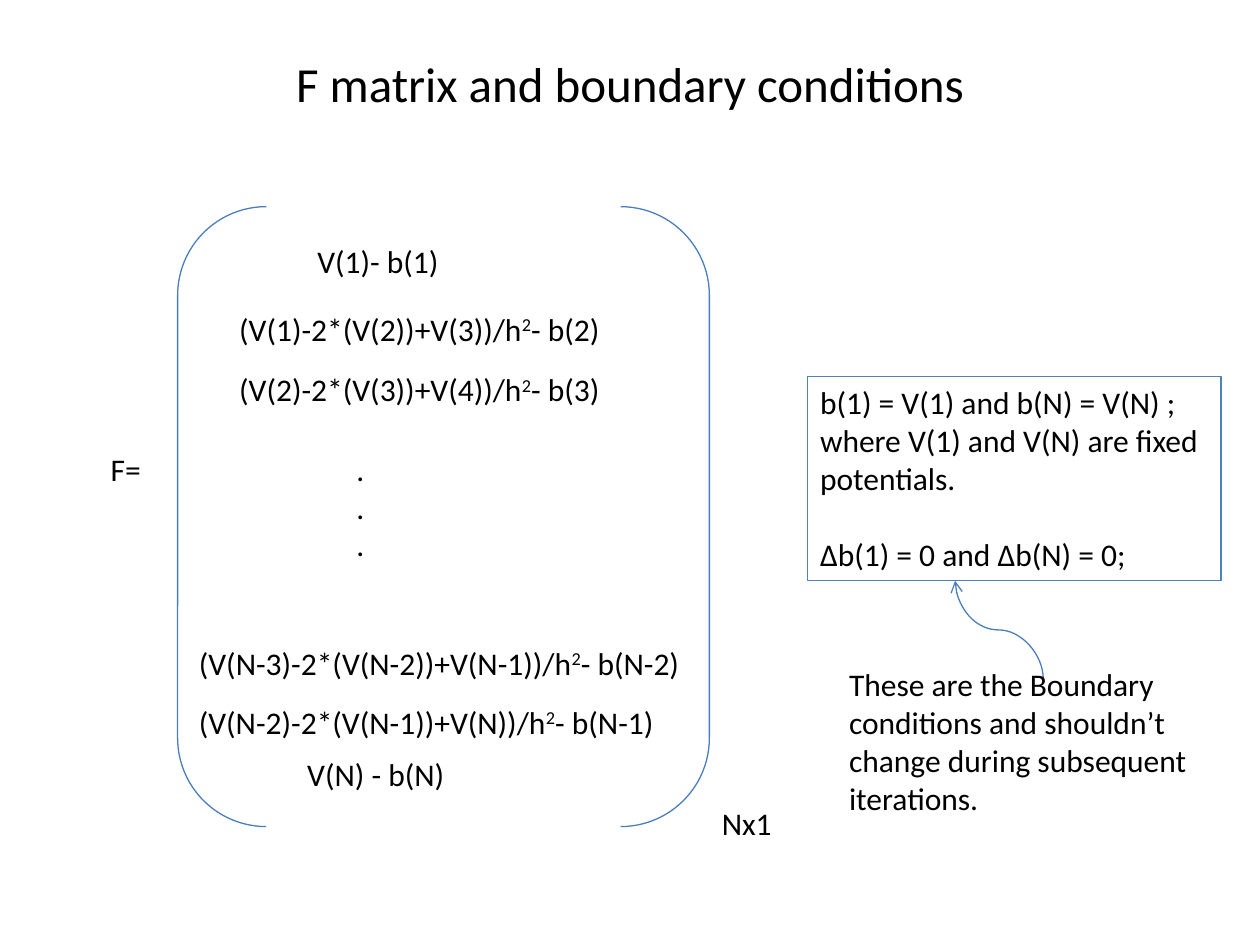
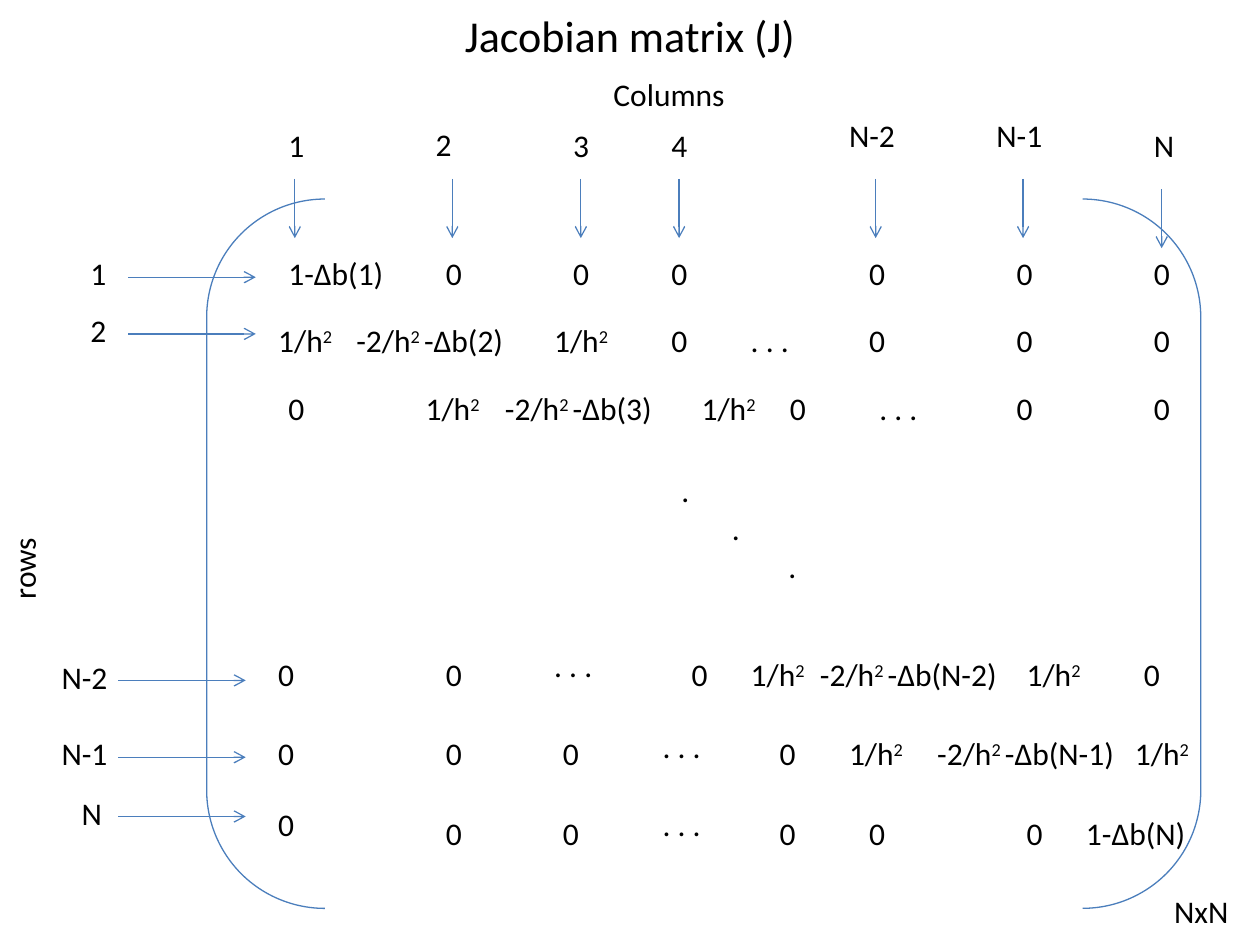
from lxml import etree
from pptx import Presentation
from pptx import util as u
from pptx.dml.color import RGBColor
from pptx.enum import shapes, text
from pptx.oxml.ns import qn

COLORS = {"ink": "000000", "line": "4B7EBC", "frame": "4F81BD"}
FONT = "Calibri"
BODY_SIZE = 18
LINE_WIDTH = 0.75
ROW_HEIGHT = 0.4
DOTS = ". . ."
SQUARE = "1/h|2|"


def color(name):
    return RGBColor.from_string(COLORS[name])


def style(para, size=BODY_SIZE):
    para.font.name = FONT
    para.font.size = u.Pt(size)
    para.font.color.rgb = color("ink")


def fill_text(frame, lines):
    frame.word_wrap = True
    for index, line in enumerate(lines):
        para = frame.paragraphs[0] if index == 0 else frame.add_paragraph()
        para.alignment = text.PP_ALIGN.LEFT
        style(para)
        for part, words in enumerate(line.split("|")):
            if words:
                span = para.add_run()
                span.text = words
                if part % 2:
                    span.font._element.set("baseline", "30000")


def add_text(page, left, top, width, *lines, height=ROW_HEIGHT):
    box = page.shapes.add_textbox(*map(u.Inches, (left, top, width, height)))
    fill_text(box.text_frame, lines)
    return box


def add_outline(page, kind, box, line_color="line"):
    shape = page.shapes.add_shape(kind, *map(u.Inches, box))
    shape.shadow.inherit = False
    shape.fill.background()
    shape.line.color.rgb = color(line_color)
    shape.line.width = u.Pt(LINE_WIDTH)
    return shape


def add_arrow(page, start, end, kind=shapes.MSO_CONNECTOR.STRAIGHT):
    arrow = page.shapes.add_connector(kind, *map(u.Inches, (*start, *end)))
    arrow.line.color.rgb = color("line")
    arrow.line.width = u.Pt(LINE_WIDTH)
    etree.SubElement(arrow.line._get_or_add_ln(), qn("a:tailEnd"), type="arrow")
    etree.SubElement(arrow._element.spPr, qn("a:effectLst"))
    return arrow


def add_page(deck, title, top, height, size):
    page = deck.slides.add_slide(deck.slide_layouts[5])
    holder = page.shapes.title
    holder.left, holder.top, holder.width, holder.height = map(u.Inches, (0.5, top, 9, height))
    holder.text_frame.text = title
    holder.text_frame.vertical_anchor = text.MSO_ANCHOR.MIDDLE
    para = holder.text_frame.paragraphs[0]
    para.alignment = text.PP_ALIGN.CENTER
    style(para, size)
    return page


def draw_f_vector(page, box):
    left, top, width, height = box
    add_outline(page, shapes.MSO_SHAPE.DOUBLE_BRACKET, box)
    entries = [
        (1.01, 0.23, 1.41, "V(1)- b(1)"),
        (0.39, 0.77, 3.28, "(V(1)-2*(V(2))+V(3))/h|2|- b(2)"),
        (0.39, 1.25, 3.28, "(V(2)-2*(V(3))+V(4))/h|2|- b(3)"),
        (0.07, 3.42, 4.22, "(V(N-3)-2*(V(N-2))+V(N-1))/h|2|- b(N-2)"),
        (0.07, 3.89, 4.06, "(V(N-2)-2*(V(N-1))+V(N))/h|2|- b(N-1)"),
        (0.93, 4.3, 1.8, "V(N) - b(N)"),
        (-0.63, 1.88, 0.55, "F="),
        (width, height - 0.23, 0.78, "Nx1"),
    ]
    for x, y, entry_width, entry in entries:
        add_text(page, left + x, top + y, entry_width, entry)
    add_text(page, left + 1.32, top + 1.88, 0.94, ".", ".", ".", height=1.01)


def draw_boundary_note(page, box):
    left, top, width, height = box
    bottom = top + height
    frame = add_outline(page, shapes.MSO_SHAPE.RECTANGLE, box, "frame").text_frame
    frame.vertical_anchor = text.MSO_ANCHOR.TOP
    fill_text(frame, [
        "b(1) = V(1) and b(N) = V(N) ;",
        "where V(1) and V(N) are fixed potentials.",
        "Δb(1) = 0 and Δb(N) = 0;",
    ])
    frame.paragraphs[-1].space_before = u.Pt(22)
    curve = add_arrow(page, (left + 1.13, bottom + 0.74), (left + 1.91, bottom + 0.04),
                      shapes.MSO_CONNECTOR.CURVE)
    curve._element.spPr.find(qn("a:xfrm")).set("rot", "16200000")
    add_text(page, left + 0.23, bottom + 0.62, width,
             "These are the Boundary conditions and shouldn’t change during subsequent iterations.",
             height=1.31)


def diagonal(index):
    return f"-2/h|2 |-Δb({index})"


def entry_width(entry):
    if entry == DOTS:
        return 1.72
    if len(entry) < 7:
        return 0.7
    return 1.05 if len(entry) == 7 else 1.7


def label_width(label):
    return 0.78 if len(label) > 1 else 0.47


def draw_jacobian_entries(page, box):
    left, top, width, height = box
    add_outline(page, shapes.MSO_SHAPE.DOUBLE_BRACKET, box)
    columns = [0.55, 1.8, 2.81, 3.59, 5.16, 6.33, 7.42]
    rows = [
        (0.39, zip(columns, ["1-Δb(1)"] + ["0"] * 6)),
        (0.92, [(0.47, SQUARE), (1.09, diagonal("2")), (2.66, SQUARE), (3.59, "0"),
                (4.22, DOTS), (5.16, "0"), (6.33, "0"), (7.42, "0")]),
        (1.46, [(0.55, "0"), (1.64, SQUARE), (2.27, diagonal("3")), (3.83, SQUARE),
                (4.53, "0"), (5.24, DOTS), (6.33, "0"), (7.42, "0")]),
        (3.5, [(2.66, DOTS)]),
        (3.57, [(0.47, "0"), (1.8, "0"), (3.75, "0"), (4.22, SQUARE),
                (4.77, diagonal("N-2")), (6.41, SQUARE), (7.34, "0")]),
        (4.14, [(3.52, DOTS)]),
        (4.2, [(0.47, "0"), (1.8, "0"), (2.73, "0"), (4.45, "0"), (5, SQUARE),
               (5.7, diagonal("N-1")), (7.27, SQUARE)]),
        (4.76, [(0.47, "0"), (3.52, DOTS)]),
        (4.83, [(1.8, "0"), (2.73, "0"), (4.45, "0"), (5.16, "0"), (6.41, "0"),
                (6.88, "1-Δb(N)")]),
    ]
    for y, cells in rows:
        for x, entry in cells:
            add_text(page, left + x, top + y, entry_width(entry), entry)
    dots = add_text(page, left + 3.67, top + 2.11, 3.44, ".", ".", ".", height=1.01)
    for para, indent in zip(dots.text_frame.paragraphs, (0, 0.4, 0.85)):
        para._p.get_or_add_pPr().set("marL", str(u.Inches(indent)))
    add_text(page, left + width - 0.31, top + height - 0.18, 0.78, "NxN")


def draw_column_heads(page, box):
    left, top = box[:2]
    heads = [
        ("1", 0.55, -0.63, 0.7, -0.16),
        ("2", 1.72, -0.64, 1.95, -0.16),
        ("3", 2.81, -0.63, 2.97, -0.16),
        ("4", 3.59, -0.63, 3.75, -0.16),
        ("N-2", 5, -0.71, 5.31, -0.16),
        ("N-1", 6.17, -0.71, 6.48, -0.16),
        ("N", 7.42, -0.63, 7.58, -0.08),
    ]
    add_text(page, left + 3.13, top - 1.03, 1.88, "Columns")
    for label, x, y, arrow_x, arrow_y in heads:
        add_text(page, left + x, top + y, label_width(label), label)
        add_arrow(page, (left + arrow_x, top + arrow_y), (left + arrow_x, top + arrow_y + 0.47))


def draw_row_heads(page, box):
    left, top = box[:2]
    heads = [
        ("1", -1.02, 0.39, -0.62),
        ("2", -1.02, 0.84, -0.62),
        ("N-2", -1.25, 3.59, -0.7),
        ("N-1", -1.25, 4.2, -0.7),
        ("N", -1.09, 4.67, -0.7),
    ]
    add_text(page, left - 2.12, top + 2.41, 1.33, "rows").rotation = 270
    for label, x, y, arrow_x in heads:
        add_text(page, left + x, top + y, label_width(label), label)
        middle = top + y + 0.23
        add_arrow(page, (left + arrow_x, middle), (left + arrow_x + 1.01, middle))


def main():
    deck = Presentation()
    deck.slide_width, deck.slide_height = u.Inches(10), u.Inches(7.5)

    page = add_page(deck, "F matrix and boundary conditions", 0.3, 0.72, 28)
    draw_f_vector(page, (1.41, 1.64, 4.22, 4.92))
    draw_boundary_note(page, (6.41, 2.99, 3.28, 1.62))

    page = add_page(deck, "Jacobian matrix (J)", 0, 0.55, 25.2)
    matrix = (1.64, 1.58, 7.89, 5.63)
    draw_jacobian_entries(page, matrix)
    draw_column_heads(page, matrix)
    draw_row_heads(page, matrix)

    deck.save("out.pptx")


if __name__ == "__main__":
    main()
